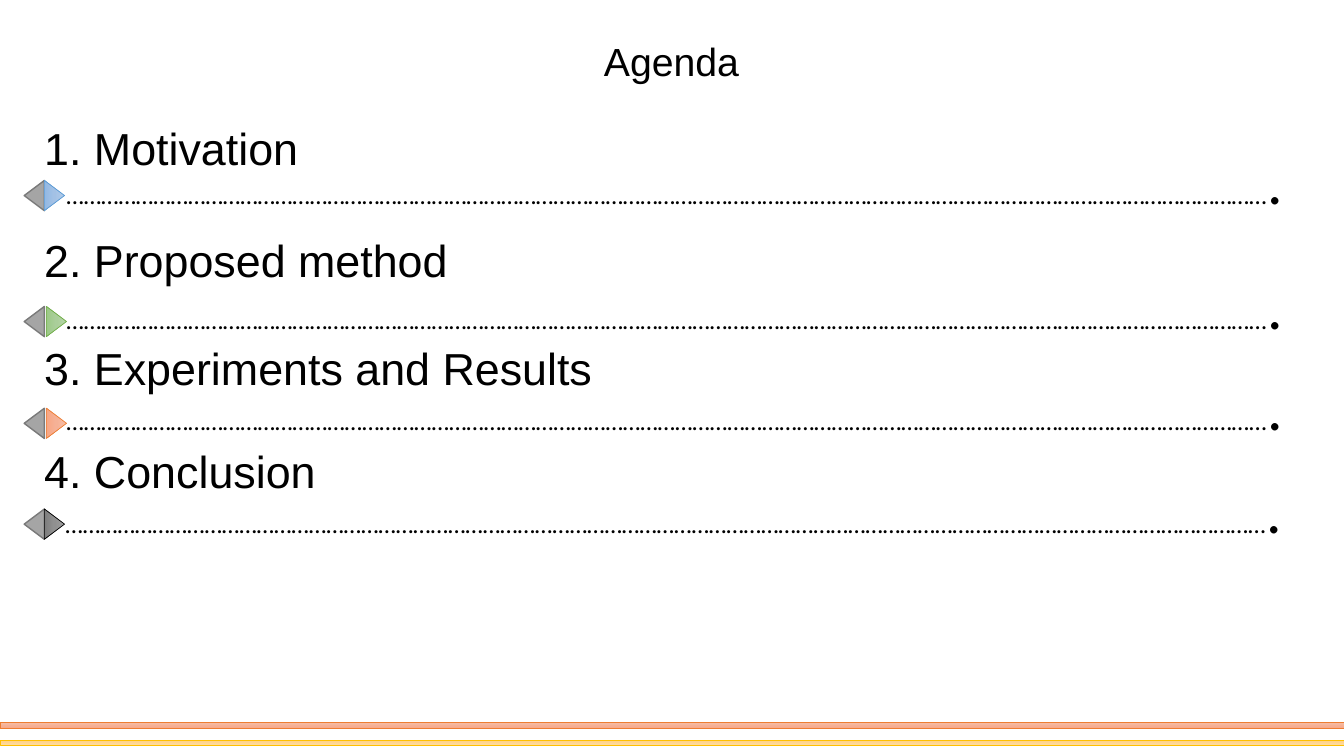
from copy import deepcopy

from pptx import Presentation
from pptx.dml.color import RGBColor
from pptx.enum.shapes import MSO_SHAPE
from pptx.enum.text import MSO_AUTO_SIZE, PP_ALIGN
from pptx.oxml.ns import qn
from pptx.util import Inches, Pt

TRIANGLE = MSO_SHAPE.ISOSCELES_TRIANGLE
RECTANGLE = MSO_SHAPE.RECTANGLE
FIT_SHAPE = MSO_AUTO_SIZE.SHAPE_TO_FIT_TEXT
LEFT = PP_ALIGN.LEFT
CENTER = PP_ALIGN.CENTER

BLACK = RGBColor(0x00, 0x00, 0x00)
GRAY = RGBColor(0xA5, 0xA5, 0xA5)
DARK_GRAY = RGBColor(0x7A, 0x7A, 0x7A)
BLUE = RGBColor(0x5B, 0x9B, 0xD5)
GREEN = RGBColor(0x70, 0xAD, 0x47)
ORANGE = RGBColor(0xED, 0x7D, 0x31)
GOLD = RGBColor(0xFF, 0xC0, 0x00)
BLUE_STOPS = (RGBColor(0xB1, 0xCB, 0xE9), RGBColor(0xA3, 0xC1, 0xE5), RGBColor(0x93, 0xB9, 0xE4))
GREEN_STOPS = (RGBColor(0xB5, 0xD5, 0xA7), RGBColor(0xAA, 0xCE, 0x9A), RGBColor(0x9C, 0xC9, 0x87))
ORANGE_STOPS = (RGBColor(0xF7, 0xBD, 0xA5), RGBColor(0xF5, 0xB1, 0x96), RGBColor(0xF8, 0xA5, 0x82))
BLACK_STOPS = (RGBColor(0x9D, 0x9D, 0x9D), RGBColor(0x90, 0x90, 0x90), RGBColor(0x7C, 0x7C, 0x7C))
GOLD_STOPS = (RGBColor(0xFF, 0xDB, 0x9E), RGBColor(0xFF, 0xD5, 0x90), RGBColor(0xFF, 0xD0, 0x7C))

LEADER = "…" * 69

AGENDA = (
    ("1. Motivation", 1.15, 3.18, 1.84, 0.39, 0.56, 1.37, BLUE_STOPS, BLUE),
    ("2. Proposed method", 2.26, 5.94, 3.09, 0.41, 0.56, 2.61, GREEN_STOPS, GREEN),
    ("3. Experiments and Results", 3.33, 5.94, 4.1, 0.41, 0.56, 3.61, ORANGE_STOPS, ORANGE),
    ("4. Conclusion", 4.35, 3.18, 5.1, 0.39, 0.55, 4.63, BLACK_STOPS, BLACK),
)


def add_text(s, box, runs, font, align=LEFT):
    tf = s.shapes.add_textbox(*map(Inches, box)).text_frame
    tf.word_wrap = True
    tf.auto_size = FIT_SHAPE
    p = tf.paragraphs[0]
    p.alignment = align
    for text, size in runs:
        r = p.add_run()
        r.text = text
        r.font.name = font
        r.font.size = Pt(size)
        r.font.color.rgb = BLACK


def add_outlined(s, kind, box, line, width, rotation=0):
    sp = s.shapes.add_shape(kind, *map(Inches, box))
    sp.shadow.inherit = False
    sp.rotation = rotation
    sp.line.color.rgb = line
    sp.line.width = Pt(width)
    return sp


def fill_gradient(sp, colors):
    sp.fill.gradient()
    sp.fill.gradient_angle = 270
    stops = sp._element.spPr.find(qn("a:gradFill")).find(qn("a:gsLst"))
    stops.append(deepcopy(stops[0]))
    for i, (stop, color) in enumerate(zip(sp.fill.gradient_stops, colors)):
        stop.position = i / 2
        stop.color.rgb = color


def add_marker(s, top, right_left, colors, line):
    back = add_outlined(s, TRIANGLE, (0.19, top, 0.3, 0.2), DARK_GRAY, 1, 270)
    back.fill.solid()
    back.fill.fore_color.rgb = GRAY
    front = add_outlined(s, TRIANGLE, (right_left, top, 0.3, 0.2), line, 0.5, 90)
    fill_gradient(front, colors)


def add_stripe(s, top, height, colors, line):
    stripe = add_outlined(s, RECTANGLE, (0, top, 13.33, height), line, 0.5)
    fill_gradient(stripe, colors)
    return stripe


def main():
    prs = Presentation()
    prs.slide_width = Inches(13.33)
    prs.slide_height = Inches(7.5)
    s = prs.slides.add_slide(prs.slide_layouts[6])

    add_text(s, (3.33, 0.32, 6.66, 0.57), [("Agenda", 28)], "Arial", CENTER)
    for text, top, width, marker_top, front_left, leader_left, leader_top, colors, line in AGENDA:
        add_text(s, (0.34, top, width, 0.64), [(text, 32)], "Arial")
        add_marker(s, marker_top, front_left, colors, line)
        add_text(s, (leader_left, leader_top, 12.55, 0.84), [(LEADER, 18), (".", 44)], "Calibri")

    add_stripe(s, 7.17, 0.06, ORANGE_STOPS, ORANGE)
    gold_stripe = add_stripe(s, 7.34, 0.05, GOLD_STOPS, GOLD)
    gold_stripe._element.spPr.xfrm.set("flipV", "1")

    prs.save("out.pptx")


if __name__ == "__main__":
    main()
